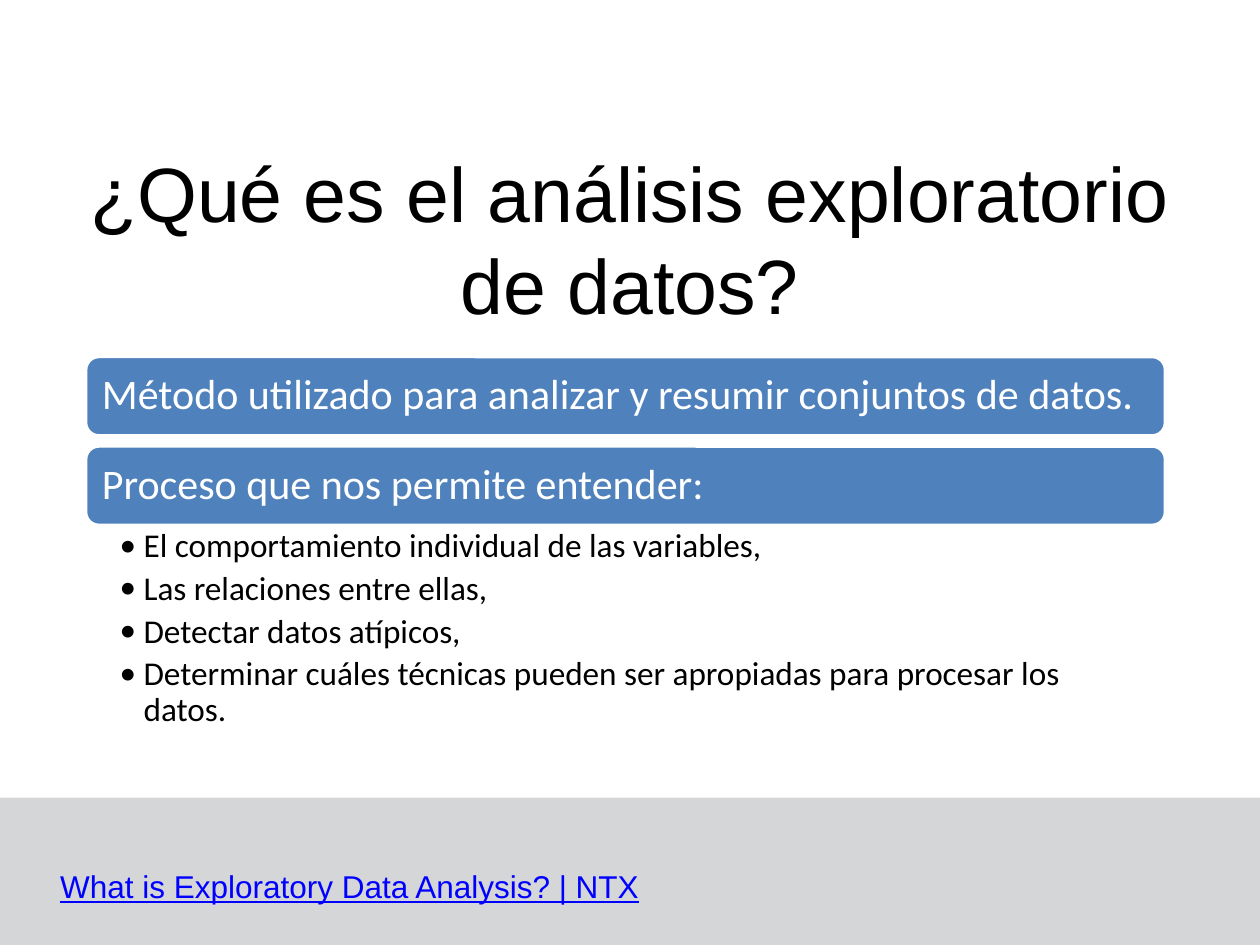
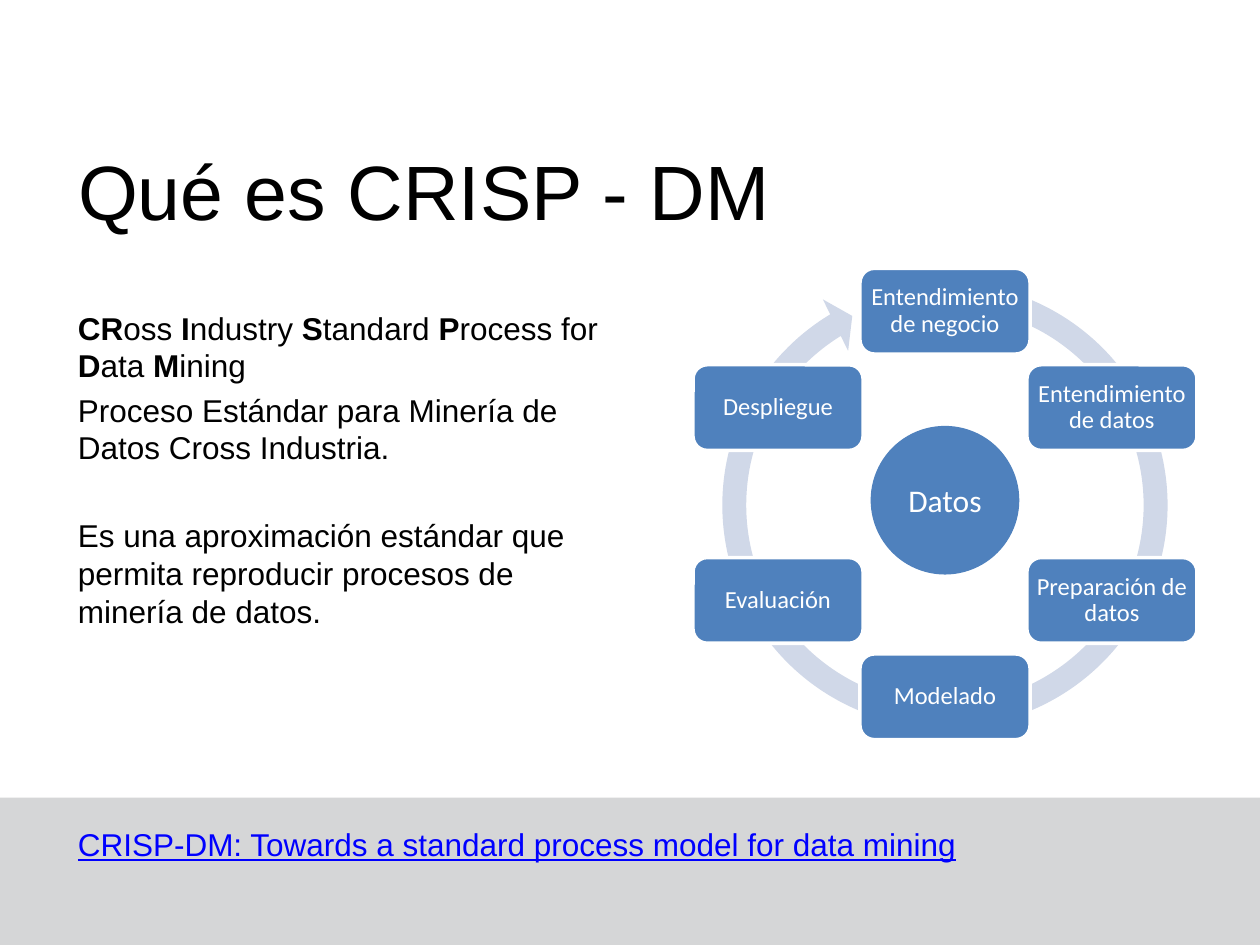
"""Build two slides on exploratory data analysis and CRISP-DM."""
import math
from dataclasses import dataclass

from lxml import etree
from pptx import Presentation
from pptx import util as u
from pptx.dml import color as dml
from pptx.enum import shapes, text
from pptx.oxml import ns
from pptx.shapes import autoshape
from pptx.slide import Slide
from pptx.text import text as txt

LEFT, CENTER = text.PP_ALIGN.LEFT, text.PP_ALIGN.CENTER
TOP, MIDDLE = text.MSO_ANCHOR.TOP, text.MSO_ANCHOR.MIDDLE
SHAPE = shapes.MSO_SHAPE


@dataclass(frozen=True)
class Theme:
    """Colours, fonts and type sizes."""
    black: str = "000000"
    white: str = "FFFFFF"
    blue: str = "4F81BD"
    ring: str = "D0D8E8"
    band: str = "D5D6D7"
    link: str = "0000FF"
    heading_font: str = "Arial"
    diagram_font: str = "Calibri"
    title: int = 44
    statement: int = 24
    bullet: int = 19
    body: int = 18
    node: int = 14


THEME = Theme()


@dataclass(frozen=True)
class Box:
    """Position and size in inches."""
    left: float
    top: float
    width: float
    height: float

    def lengths(self) -> tuple[u.Length, ...]:
        """Return the four values as lengths."""
        return tuple(u.Inches(value) for value in (self.left, self.top, self.width, self.height))


@dataclass(frozen=True)
class Line:
    """A paragraph whose runs alternate between bold and regular, or are all regular."""
    runs: tuple[str, ...]
    alternate_bold: bool = False
    before: float = 0


@dataclass(frozen=True)
class Node:
    """A step of the cycle, placed clockwise from the top."""
    label: str
    step: int


STATEMENTS = ("Método utilizado para analizar y resumir conjuntos de datos.",
              "Proceso que nos permite entender:")
GOALS = ("El comportamiento individual de las variables,", "Las relaciones entre ellas,",
         "Detectar datos atípicos,",
         "Determinar cuáles técnicas pueden ser apropiadas para procesar los datos.")
STEPS = ("Entendimiento de negocio", "Entendimiento de datos", "Preparación de datos",
         "Modelado", "Evaluación", "Despliegue")
NODES = tuple(Node(label, step) for step, label in enumerate(STEPS))
DESCRIPTION = (
    Line(("CR", "oss ", "I", "ndustry ", "S", "tandard ", "P", "rocess for ",
          "D", "ata ", "M", "ining"), alternate_bold=True, before=3.6),
    Line(("Proceso Estándar para Minería de Datos Cross Industria.",), before=3.6),
    Line(("Es una aproximación estándar que permita reproducir procesos de minería de datos.",),
         before=28.5),
)


def add_bullet(paragraph: txt._Paragraph, indent: float, font: str) -> None:
    """Give a paragraph a hanging round bullet."""
    properties = paragraph._p.get_or_add_pPr()
    properties.set("marL", str(u.Inches(indent)))
    properties.set("indent", str(-u.Inches(indent)))
    etree.SubElement(properties, ns.qn("a:buFont")).set("typeface", font)
    etree.SubElement(properties, ns.qn("a:buChar")).set("char", "•")


def write_text(frame: txt.TextFrame, *lines: Line, size: float, font: str = THEME.heading_font,
               color: str = THEME.black, align: text.PP_ALIGN = LEFT,
               anchor: text.MSO_ANCHOR = TOP, insets: tuple[float, ...] = (0.1, 0.05, 0.1, 0.05),
               spacing: float = 1.0, after: float = 0, underline: bool = False,
               bullet_indent: float = 0) -> None:
    """Fill a text frame with formatted lines."""
    frame.word_wrap = True
    frame.auto_size = text.MSO_AUTO_SIZE.NONE
    frame.vertical_anchor = anchor
    frame.margin_left, frame.margin_top, frame.margin_right, frame.margin_bottom = map(
        u.Inches, insets)
    for index, line in enumerate(lines):
        paragraph = frame.add_paragraph() if index else frame.paragraphs[0]
        paragraph.alignment = align
        paragraph.line_spacing = spacing
        paragraph.space_before = u.Pt(line.before)
        paragraph.space_after = u.Pt(after)
        if bullet_indent:
            add_bullet(paragraph, bullet_indent, font)
        for position, content in enumerate(line.runs):
            run = paragraph.add_run()
            run.text = content
            run.font.name = font
            run.font.size = u.Pt(size)
            run.font.color.rgb = dml.RGBColor.from_string(color)
            run.font.bold = line.alternate_bold and position % 2 == 0
            run.font.underline = underline


def add_filled_shape(slide: Slide, kind: shapes.MSO_SHAPE, box: Box, fill: str,
                     outline: float = 0) -> autoshape.Shape:
    """Add a flat shape, with a white outline when its width is given."""
    shape = slide.shapes.add_shape(kind, *box.lengths())
    shape.shadow.inherit = False
    shape.fill.solid()
    shape.fill.fore_color.rgb = dml.RGBColor.from_string(fill)
    if outline:
        shape.line.color.rgb = dml.RGBColor.from_string(THEME.white)
        shape.line.width = u.Pt(outline)
    else:
        shape.line.fill.background()
    return shape


def add_label_box(slide: Slide, box: Box, label: str, *, size: float, inset: float,
                  align: text.PP_ALIGN) -> None:
    """Add a blue rounded box with white text."""
    shape = add_filled_shape(slide, SHAPE.ROUNDED_RECTANGLE, box, THEME.blue, outline=2)
    write_text(shape.text_frame, Line((label,)), size=size, font=THEME.diagram_font,
               color=THEME.white, align=align, anchor=MIDDLE, insets=(inset,) * 4, spacing=0.9)


def add_base_slide(presentation: Presentation, title: str, title_box: Box,
                   align: text.PP_ALIGN, source: str, source_box: Box) -> Slide:
    """Add a slide with its title, footer band and source line."""
    slide = presentation.slides.add_slide(presentation.slide_layouts.get_by_name("Title Only"))
    heading = slide.shapes.title
    heading.left, heading.top, heading.width, heading.height = title_box.lengths()
    write_text(heading.text_frame, Line((title,)), size=THEME.title, align=align, anchor=MIDDLE)
    add_filled_shape(slide, SHAPE.RECTANGLE, Box(0, 6.33, 10, 1.17), THEME.band)
    source_text = slide.shapes.add_textbox(*source_box.lengths())
    write_text(source_text.text_frame, Line((source,)), size=THEME.body, color=THEME.link,
               underline=True)
    return slide


def build_definition_slide(presentation: Presentation) -> None:
    """Explain what exploratory data analysis is."""
    slide = add_base_slide(
        presentation, "¿Qué es el análisis exploratorio de datos?", Box(0.5, 1.26, 9, 1.25),
        CENTER, "What is Exploratory Data Analysis? | NTX", Box(0.38, 6.83, 5, 0.4))
    for index, statement in enumerate(STATEMENTS):
        add_label_box(slide, Box(0.68, 2.83 + 0.71 * index, 8.57, 0.63), statement,
                      size=THEME.statement, inset=0.1, align=LEFT)
    goals = slide.shapes.add_textbox(*Box(0.68, 4.17, 8.57, 1.71).lengths())
    write_text(goals.text_frame, *(Line((goal,)) for goal in GOALS), size=THEME.bullet,
               font=THEME.diagram_font, insets=(0.27, 0.03, 0.19, 0.03), spacing=0.9,
               after=3.8, bullet_indent=0.19)


def add_cycle(slide: Slide) -> None:
    """Draw the six steps around the data circle."""
    center_x, center_y, radius = 7.5, 4.0, 1.53
    width, height = 1.35, 0.68
    ring = add_filled_shape(slide, SHAPE.CIRCULAR_ARROW, Box(5.6, 2.11, 3.8, 3.8), THEME.ring)
    for index, value in enumerate((0.05, 3.13, 143.22, 170.72, 0.06)):
        ring.adjustments[index] = value
    for node in NODES:
        angle = math.tau * node.step / len(NODES)
        left = center_x + radius * math.sin(angle) - width / 2
        top = center_y - radius * math.cos(angle) - height / 2
        add_label_box(slide, Box(left, top, width, height), node.label, size=THEME.node,
                      inset=0.03, align=CENTER)
    hub = add_filled_shape(slide, SHAPE.OVAL, Box(6.91, 3.38, 1.18, 1.18), THEME.blue)
    write_text(hub.text_frame, Line(("Datos",)), size=THEME.body, font=THEME.diagram_font,
               color=THEME.white, align=CENTER, anchor=MIDDLE)


def build_process_slide(presentation: Presentation) -> None:
    """Describe CRISP-DM beside its cycle."""
    slide = add_base_slide(
        presentation, "Qué es CRISP - DM", Box(0.52, 0.88, 9, 1.25), LEFT,
        "CRISP-DM: Towards a standard process model for data mining", Box(0.52, 6.5, 8.54, 0.4))
    add_cycle(slide)
    description = slide.shapes.add_textbox(*Box(0.52, 2.4, 4.33, 2.71).lengths())
    write_text(description.text_frame, *DESCRIPTION, size=THEME.body)


def main() -> None:
    """Build and save the presentation."""
    presentation = Presentation()
    presentation.slide_width, presentation.slide_height = u.Inches(10), u.Inches(7.5)
    build_definition_slide(presentation)
    build_process_slide(presentation)
    presentation.save("out.pptx")


if __name__ == "__main__":
    main()
